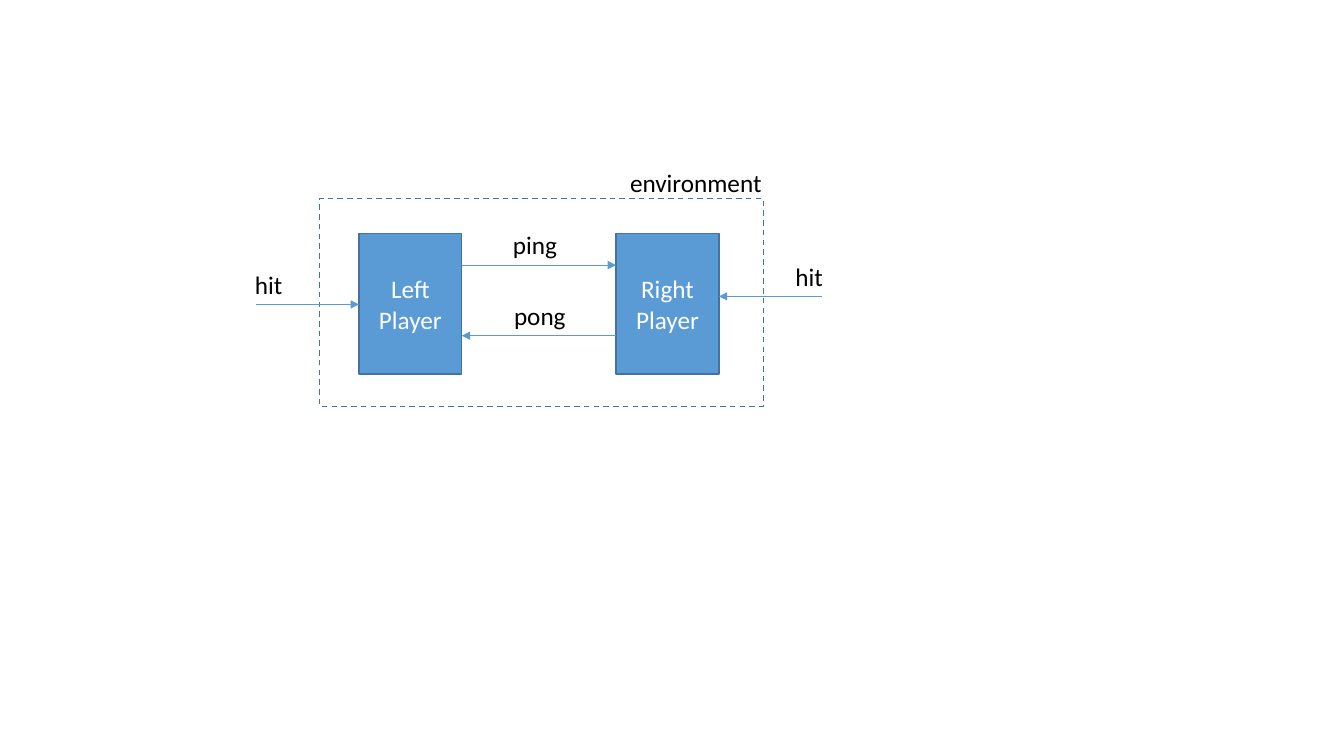
import pptx
import pptx.util
import pptx.dml.color
import pptx.enum.dml
import pptx.enum.shapes
import pptx.enum.text
import pptx.oxml

deck = pptx.Presentation()
deck.slide_width = pptx.util.Inches(13.33)
deck.slide_height = pptx.util.Inches(7.5)
slide = deck.slides.add_slide(deck.slide_layouts[6])
shapes = slide.shapes
col = deck.slide_width / 100
row = deck.slide_height / 100

hues = {"fill": "5B9BD5", "edge": "43739E", "text": "000000", "name": "FFFFFF"}
rgb = {key: pptx.dml.color.RGBColor.from_string(hue) for key, hue in hues.items()}

wide, tall = 7.65, 18.53
left, right, top = 26.71, 45.84, 30.93
high = 5.33


def add_box(x, y, w, h):
    box = shapes.add_shape(pptx.enum.shapes.MSO_SHAPE.RECTANGLE,
                           int(x * col), int(y * row), int(w * col), int(h * row))
    box.shadow.inherit = False
    box.line.color.rgb = rgb["edge"]
    box.line.width = pptx.util.Pt(1)
    return box


def style(frame, hue, align):
    for para in frame.paragraphs:
        para.alignment = align
        for run in para.runs:
            run.font.size = pptx.util.Pt(18)
            run.font.name = "Calibri"
            run.font.color.rgb = rgb[hue]


for x, name in [(left, "Left\nPlayer"), (right, "Right\nPlayer")]:
    player = add_box(x, top, wide, tall)
    player.fill.solid()
    player.fill.fore_color.rgb = rgb["fill"]
    player.text_frame.text = name
    player.text_frame.vertical_anchor = pptx.enum.text.MSO_ANCHOR.MIDDLE
    style(player.text_frame, "name", pptx.enum.text.PP_ALIGN.CENTER)

field = add_box(23.78, 26.27, 33.01, 27.47)
field.fill.background()
field.line.dash_style = pptx.enum.dml.MSO_LINE.DASH

labels = [("environment", 46.14, 11.4, 26.8)]
arrows = [
    ("ping", left + wide, right, 35.07, 37.43, 4.88),
    ("pong", right, left + wide, 44.4, 37.51, 5.4),
    ("hit", left - wide, left, 40.27, 18.23, 3.6),
    ("hit", right + 2 * wide, right + wide, 39.2, 58.44, 3.6),
]
for word, start, end, y, x, w in arrows:
    arrow = shapes.add_connector(pptx.enum.shapes.MSO_CONNECTOR.STRAIGHT,
                                 int(start * col), int(y * row), int(end * col), int(y * row))
    arrow.line.color.rgb = rgb["fill"]
    arrow.line.width = pptx.util.Pt(0.5)
    tip = pptx.oxml.parse_xml(
        '<a:tailEnd xmlns:a="http://schemas.openxmlformats.org/drawingml/2006/main" type="triangle"/>')
    arrow.line._get_or_add_ln().append(tip)
    arrow._element.spPr.append(pptx.oxml.parse_xml(
        '<a:effectLst xmlns:a="http://schemas.openxmlformats.org/drawingml/2006/main"/>'))
    labels.append((word, x, w, y))

for word, x, w, base in labels:
    label = shapes.add_textbox(int(x * col), int((base - high) * row), int(w * col), int(high * row))
    label.text_frame.text = word
    label.text_frame.word_wrap = False
    label.text_frame.auto_size = pptx.enum.text.MSO_AUTO_SIZE.SHAPE_TO_FIT_TEXT
    style(label.text_frame, "text", pptx.enum.text.PP_ALIGN.LEFT)

deck.save("out.pptx")
